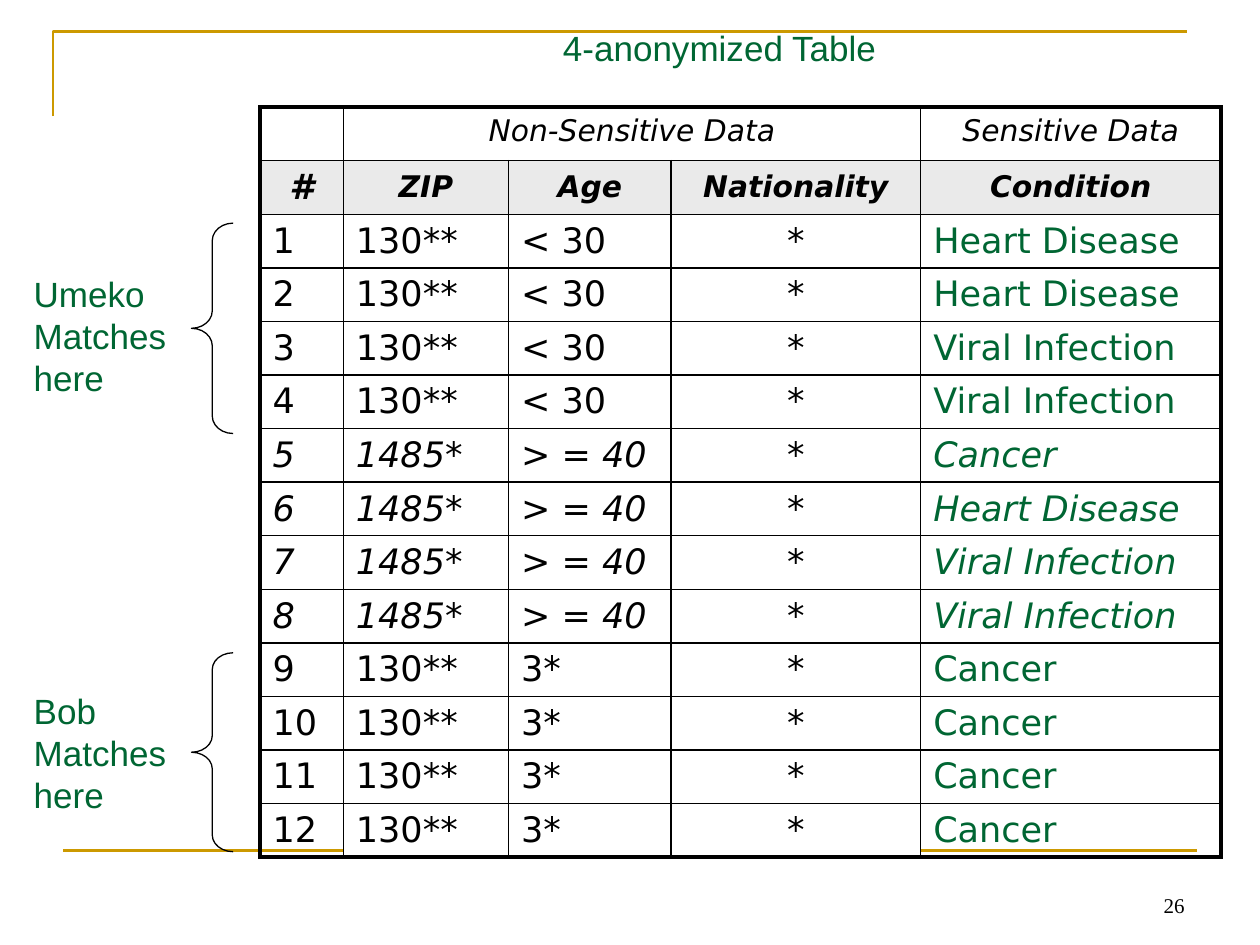
from dataclasses import dataclass

from lxml import etree
from pptx import Presentation
from pptx.dml.color import RGBColor
from pptx.enum.shapes import MSO_CONNECTOR, MSO_SHAPE
from pptx.enum.text import MSO_ANCHOR, MSO_AUTO_SIZE, PP_ALIGN
from pptx.oxml.ns import qn
from pptx.util import Cm, Pt

LEFT, CENTER, RIGHT = PP_ALIGN.LEFT, PP_ALIGN.CENTER, PP_ALIGN.RIGHT
TOP, MIDDLE, BOTTOM = MSO_ANCHOR.TOP, MSO_ANCHOR.MIDDLE, MSO_ANCHOR.BOTTOM
STRAIGHT = MSO_CONNECTOR.STRAIGHT
LEFT_BRACE = MSO_SHAPE.LEFT_BRACE
NO_AUTOFIT = MSO_AUTO_SIZE.NONE
TITLE_ONLY = 5


@dataclass(frozen=True)
class Theme:
    """Colours, fonts, type sizes and line widths of the slide."""
    ink: str = "000000"
    green: str = "006633"
    gold: str = "CC9900"
    header_fill: str = "EAEAEA"
    cell_fill: str = "FFFFFF"
    label_font: str = "Arial"
    table_font: str = "DejaVu Sans"
    number_font: str = "Times New Roman"
    text_size: float = 20
    header_size: float = 17
    number_size: float = 12
    outer_border: float = 2.25
    inner_border: float = 1
    rule_width: float = 1.5
    brace_width: float = 0.75


THEME = Theme()
COLUMN_WIDTHS = (1.68, 3.33, 3.28, 5.03, 6.05)
ROW_HEIGHT = 1.08
GROUP_HEADERS = ("", "Non-Sensitive Data", "", "", "Sensitive Data")
HEADERS = ("#", "ZIP", "Age", "Nationality", "Condition")
GROUPS = (
    ("130**", "< 30", False,
     ("Heart Disease", "Heart Disease", "Viral Infection", "Viral Infection")),
    ("1485*", "> = 40", True,
     ("Cancer", "Heart Disease", "Viral Infection", "Viral Infection")),
    ("130**", "3*", False, ("Cancer",) * 4),
)
NATIONALITY, CONDITION = 3, 4


def format_text(text_frame, font_name, size, color, alignment=LEFT,
                bold=False, italic=False):
    """Apply one style to every paragraph of a text frame."""
    for paragraph in text_frame.paragraphs:
        paragraph.alignment = alignment
        for run in paragraph.runs:
            font = run.font
            font.name, font.size = font_name, Pt(size)
            font.bold, font.italic = bold, italic
            font.color.rgb = RGBColor.from_string(color)


def format_line(line, color, width):
    """Set the colour and width of a line."""
    line.color.rgb = RGBColor.from_string(color)
    line.width = Pt(width)


def add_frame_rules(slide):
    """Draw the gold corner at the top and the gold rule at the bottom."""
    builder = slide.shapes.build_freeform(Cm(1.07), Cm(2.34))
    builder.add_line_segments([(Cm(1.07), Cm(0.63)), (Cm(23.93), Cm(0.63))], close=False)
    corner = builder.convert_to_shape()
    corner.shadow.inherit = False
    corner.fill.background()
    rule = slide.shapes.add_connector(STRAIGHT, Cm(1.27), Cm(17.15), Cm(24.13), Cm(17.15))
    etree.SubElement(rule._element.spPr, qn("a:effectLst"))
    for shape in (corner, rule):
        format_line(shape.line, THEME.gold, THEME.rule_width)


def set_borders(cell, widths):
    """Give a cell solid borders, with widths for left, right, top and bottom."""
    properties = cell._tc.get_or_add_tcPr()
    for index, (side, width) in enumerate(zip("LRTB", widths)):
        border = etree.Element(qn(f"a:ln{side}"), w=str(Pt(width)))
        fill = etree.SubElement(border, qn("a:solidFill"))
        etree.SubElement(fill, qn("a:srgbClr"), val=THEME.ink)
        properties.insert(index, border)


def set_cell(cell, text, fill=None, anchor=TOP, **style):
    """Fill a cell and write its formatted text."""
    cell.text_frame.text = text
    cell.vertical_anchor = anchor
    format_text(cell.text_frame, THEME.table_font, **style)
    if fill:
        cell.fill.solid()
        cell.fill.fore_color.rgb = RGBColor.from_string(fill)
    else:
        cell.fill.background()


def write_headers(table):
    """Write the two header rows."""
    for column, (group, header) in enumerate(zip(GROUP_HEADERS, HEADERS)):
        set_cell(table.cell(0, column), group, size=THEME.header_size,
                 color=THEME.ink, alignment=CENTER, italic=True)
        size = THEME.text_size if header == "#" else THEME.header_size
        set_cell(table.cell(1, column), header, THEME.header_fill, MIDDLE, size=size,
                 color=THEME.ink, alignment=CENTER, bold=True, italic=True)
    table.cell(0, 1).merge(table.cell(0, NATIONALITY))


def write_records(table, records):
    """Write the anonymized records below the headers."""
    for row, (values, italic) in enumerate(records, start=2):
        for column, value in enumerate(values):
            set_cell(table.cell(row, column), value,
                     THEME.cell_fill if 0 < column < CONDITION else None,
                     size=THEME.text_size,
                     color=THEME.green if column == CONDITION else THEME.ink,
                     alignment=CENTER if column == NATIONALITY else LEFT,
                     italic=italic)


def draw_borders(table):
    """Draw thin inner borders and a thick outer frame."""
    last_row, last_column = len(table.rows) - 1, len(table.columns) - 1
    for row in range(last_row + 1):
        for column in range(last_column + 1):
            cell = table.cell(row, column)
            if not cell.is_spanned:
                edges = (column == 0, column == last_column, row == 0, row == last_row)
                set_borders(cell, [THEME.outer_border if edge else THEME.inner_border
                                   for edge in edges])


def add_anonymized_table(slide):
    """Add the table of anonymized records."""
    rows = [(zip_code, age, condition, italic)
            for zip_code, age, italic, conditions in GROUPS for condition in conditions]
    records = [((str(number), zip_code, age, "*", condition), italic)
               for number, (zip_code, age, condition, italic) in enumerate(rows, start=1)]
    row_count = len(records) + 2
    table = slide.shapes.add_table(
        row_count, len(HEADERS), Cm(5.24), Cm(2.16),
        Cm(sum(COLUMN_WIDTHS)), Cm(ROW_HEIGHT * row_count)).table
    table.first_row = table.horz_banding = False
    for column, width in zip(table.columns, COLUMN_WIDTHS):
        column.width = Cm(width)
    for row in table.rows:
        row.height = Cm(ROW_HEIGHT)
    write_headers(table)
    write_records(table, records)
    draw_borders(table)


def add_brace(slide, top, height, curve):
    """Add a left brace beside a group of rows."""
    brace = slide.shapes.add_shape(LEFT_BRACE, Cm(3.86), Cm(top), Cm(0.84), Cm(height))
    brace.adjustments[0] = curve
    brace.shadow.inherit = False
    brace.fill.background()
    format_line(brace.line, THEME.ink, THEME.brace_width)


def add_match_label(slide, name, top):
    """Add the label that says whose records a brace marks."""
    box = slide.shapes.add_textbox(Cm(0.43), Cm(top), Cm(3.3), Cm(2.79))
    box.text_frame.text = f"{name}\nMatches\nhere"
    format_text(box.text_frame, THEME.label_font, THEME.text_size, THEME.green)


def set_title(slide, text):
    """Place and format the slide title."""
    title = slide.shapes.title
    title.left, title.top, title.width, title.height = Cm(11.05), Cm(0.41), Cm(6.91), Cm(1.09)
    title.text_frame.text = text
    title.text_frame.word_wrap = False
    title.text_frame.auto_size = NO_AUTOFIT
    format_text(title.text_frame, THEME.label_font, THEME.text_size, THEME.green, CENTER)


def add_page_number(slide, number):
    """Add the page number at the lower right."""
    box = slide.shapes.add_textbox(Cm(18.21), Cm(17.35), Cm(5.92), Cm(1.27))
    box.text_frame.word_wrap = True
    box.text_frame.vertical_anchor = BOTTOM
    box.text_frame.text = number
    format_text(box.text_frame, THEME.number_font, THEME.number_size, THEME.ink, RIGHT)


def main():
    """Build the slide and save it."""
    presentation = Presentation()
    presentation.slide_width, presentation.slide_height = Cm(25.4), Cm(19.05)
    slide = presentation.slides.add_slide(presentation.slide_layouts[TITLE_ONLY])
    add_frame_rules(slide)
    add_anonymized_table(slide)
    add_brace(slide, top=13.16, height=4.01, curve=0.4)
    add_brace(slide, top=4.5, height=4.24, curve=0.42)
    add_match_label(slide, "Umeko", top=5.36)
    add_match_label(slide, "Bob", top=13.77)
    set_title(slide, "4-anonymized Table")
    add_page_number(slide, "26")
    presentation.save("out.pptx")


if __name__ == "__main__":
    main()
